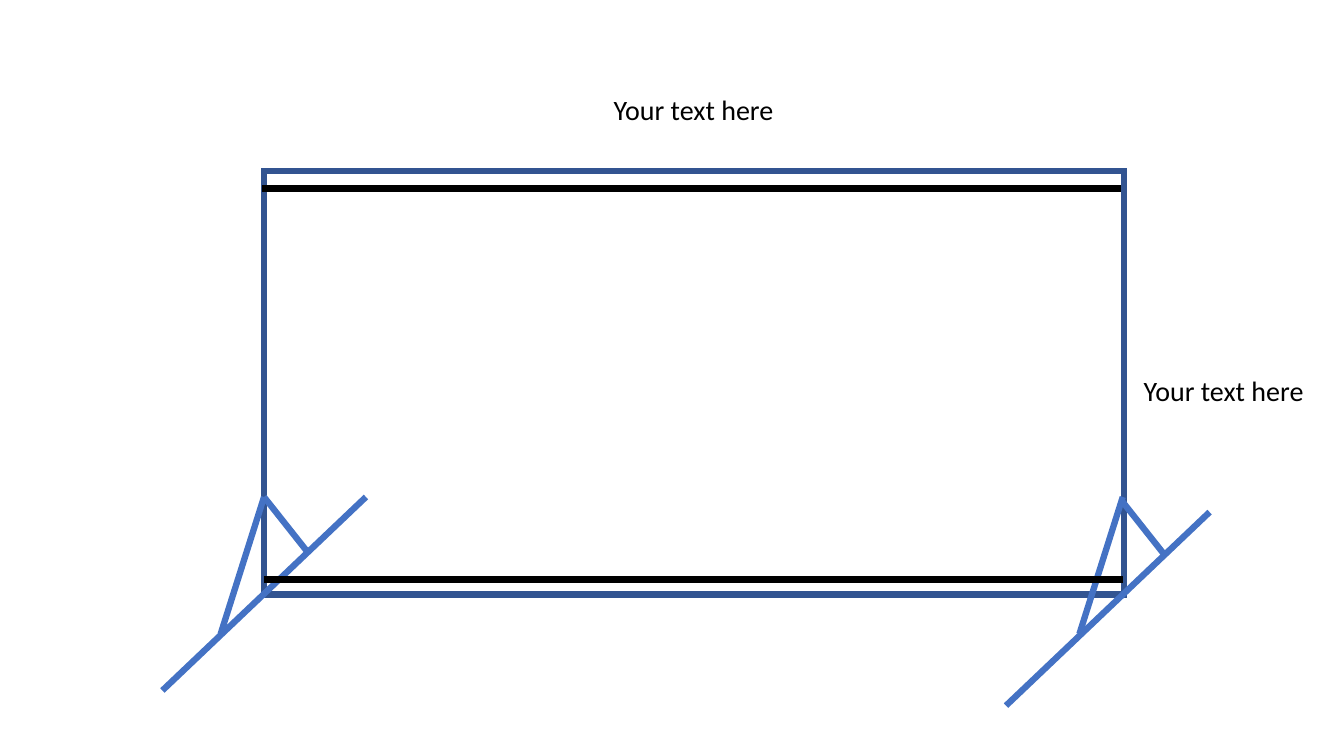
from lxml.etree import SubElement
from pptx import Presentation
from pptx.dml.color import RGBColor
from pptx.enum.shapes import MSO_CONNECTOR, MSO_SHAPE
from pptx.enum.text import MSO_AUTO_SIZE, PP_ALIGN
from pptx.oxml.ns import qn
from pptx.util import Pt

FRAME_BLUE = RGBColor(0x32, 0x54, 0x91)
STAND_BLUE = RGBColor(0x44, 0x72, 0xC4)
BLACK = RGBColor(0, 0, 0)
LINE_WIDTH = Pt(4.5)

deck = Presentation()
deck.slide_width, deck.slide_height = Pt(960), Pt(540)
page = deck.slides.add_slide(deck.slide_layouts[6])


def add_text(text, left, top, width, height, *, size=20, color=BLACK, font="Calibri"):
    box = page.shapes.add_textbox(Pt(left), Pt(top), Pt(width), Pt(height))
    box.text_frame.word_wrap = False
    box.text_frame.auto_size = MSO_AUTO_SIZE.SHAPE_TO_FIT_TEXT
    para = box.text_frame.paragraphs[0]
    para.alignment = PP_ALIGN.CENTER
    span = para.add_run()
    span.text = text
    span.font.size = Pt(size)
    span.font.name = font
    span.font.color.rgb = color


def add_line(x1, y1, x2, y2, color):
    line = page.shapes.add_connector(
        MSO_CONNECTOR.STRAIGHT, Pt(x1), Pt(y1), Pt(x2), Pt(y2))
    line.line.color.rgb = color
    line.line.width = LINE_WIDTH
    SubElement(line.element.spPr, qn("a:effectLst"))


# Board frame
frame = page.shapes.add_shape(
    MSO_SHAPE.RECTANGLE, Pt(188.6), Pt(122.4), Pt(614.2), Pt(302.4))
frame.shadow.inherit = False
frame.fill.background()
frame.line.color.rgb = FRAME_BLUE
frame.line.width = LINE_WIDTH
SubElement(frame.element.spPr.find(qn("a:ln")), qn("a:miter"), lim="800000")

# Labels above and beside the board
for left, top in [(430.6, 62.6), (809.3, 263.5)]:
    add_text("Your text here", left, top, 129.6, 31.5)

# Stands: hinge on the frame, top of the foot, top of the inner brace
for hinge_x, foot_x, foot_y, brace_y in [
        (188.6, 261.4, 355, 355), (802, 864, 365.8, 358.6)]:
    add_line(foot_x, foot_y, foot_x - 145.4, foot_y + 138.2, STAND_BLUE)
    add_line(hinge_x, 355, hinge_x - 31, 452.9, STAND_BLUE)
    add_line(hinge_x, brace_y, hinge_x + 31, brace_y + 39.2, STAND_BLUE)

# Rails along the top and bottom of the board
for left, y in [(187.2, 134.6), (188.6, 414)]:
    add_line(left, y, left + 613.8, y, BLACK)

deck.save("out.pptx")
